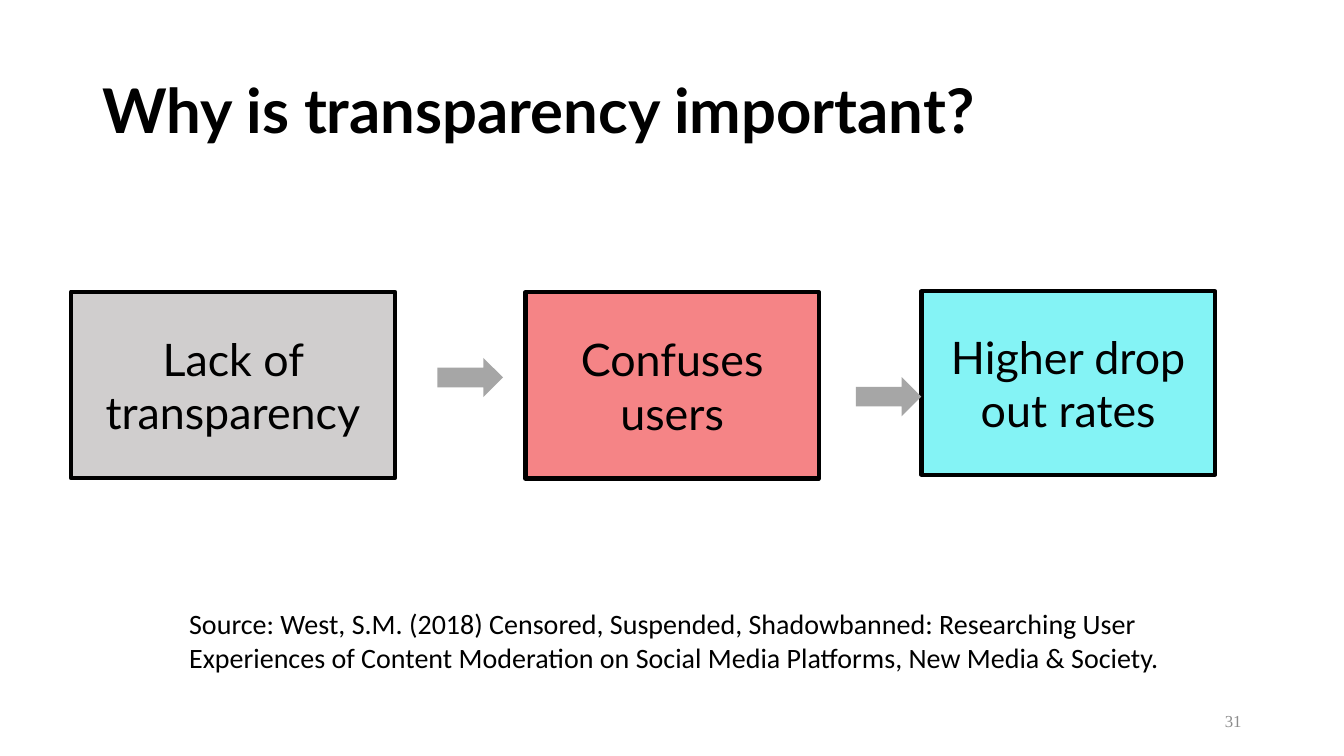
from dataclasses import dataclass

from pptx import Presentation
from pptx.dml.color import RGBColor
from pptx.enum.shapes import MSO_SHAPE
from pptx.enum.text import MSO_ANCHOR, PP_ALIGN
from pptx.util import Pt

RECTANGLE, RIGHT_ARROW = MSO_SHAPE.RECTANGLE, MSO_SHAPE.RIGHT_ARROW
TOP, MIDDLE = MSO_ANCHOR.TOP, MSO_ANCHOR.MIDDLE
LEFT, CENTER, RIGHT = PP_ALIGN.LEFT, PP_ALIGN.CENTER, PP_ALIGN.RIGHT


@dataclass(frozen=True)
class Theme:
    black: str = "000000"
    number_gray: str = "8C8C8C"
    arrow_gray: str = "A6A6A6"
    cause: str = "D0CECE"
    effect: str = "F58486"
    outcome: str = "84F3F5"
    main_font: str = "Lato"
    source_font: str = "Calibri"
    number_font: str = "Times New Roman"
    title_size: int = 44
    step_size: int = 32
    source_size: int = 20
    number_size: int = 12


theme = Theme()


def write(shape, text, font, size, color, align=LEFT, anchor=MIDDLE, bold=False):
    frame = shape.text_frame
    frame.word_wrap = True
    frame.vertical_anchor = anchor
    frame.text = text
    paragraph = frame.paragraphs[0]
    paragraph.alignment = align
    run_font = paragraph.runs[0].font
    run_font.name, run_font.size, run_font.bold = font, Pt(size), bold
    run_font.color.rgb = RGBColor.from_string(color)
    return paragraph


def add_filled(kind, left, top, width, height, color):
    shape = slide.shapes.add_shape(kind, Pt(left), Pt(top), Pt(width), Pt(height))
    shape.shadow.inherit = False
    shape.fill.solid()
    shape.fill.fore_color.rgb = RGBColor.from_string(color)
    shape.line.fill.background()
    return shape


presentation = Presentation()
presentation.slide_width, presentation.slide_height = Pt(960), Pt(540)
slide = presentation.slides.add_slide(presentation.slide_layouts[6])

# Title
title = slide.shapes.add_textbox(Pt(66), Pt(28.8), Pt(828), Pt(104.4))
heading = write(title, "Why is transparency important?", theme.main_font,
                theme.title_size, theme.black, bold=True)
heading.line_spacing = 0.9

# Slide number
slide_number = slide.shapes.add_textbox(Pt(678), Pt(500.5), Pt(216), Pt(28.8))
write(slide_number, "31", theme.number_font, theme.number_size,
      theme.number_gray, RIGHT)

# Chain from cause to outcome: text, left, top, width, height, fill, inset
steps = [
    ("Lack of transparency", 50.7, 208.4, 231.4, 133.2, theme.cause, 7.2),
    ("Confuses users", 375.4, 208.6, 209.5, 133.2, theme.effect, 7.2),
    ("Higher drop out rates", 658.3, 208.1, 209.5, 131, theme.outcome, 3.6),
]
for text, left, top, width, height, color, inset in steps:
    step = add_filled(RECTANGLE, left, top, width, height, color)
    step.line.color.rgb = RGBColor.from_string(theme.black)
    step.line.width = Pt(3)
    step.text_frame.margin_left = step.text_frame.margin_right = Pt(inset)
    write(step, text, theme.main_font, theme.step_size, theme.black, CENTER)

# Arrows between the steps
for left, top in [(312.5, 255.6), (611.3, 269.3)]:
    add_filled(RIGHT_ARROW, left, top, 46.8, 28.1, theme.arrow_gray)

# Source
source = slide.shapes.add_textbox(Pt(128), Pt(430), Pt(716.4), Pt(55.4))
write(source,
      "Source: West, S.M. (2018) Censored, Suspended, Shadowbanned: Researching User "
      "Experiences of Content Moderation on Social Media Platforms, New Media & Society.",
      theme.source_font, theme.source_size, theme.black, anchor=TOP)

presentation.save("out.pptx")
